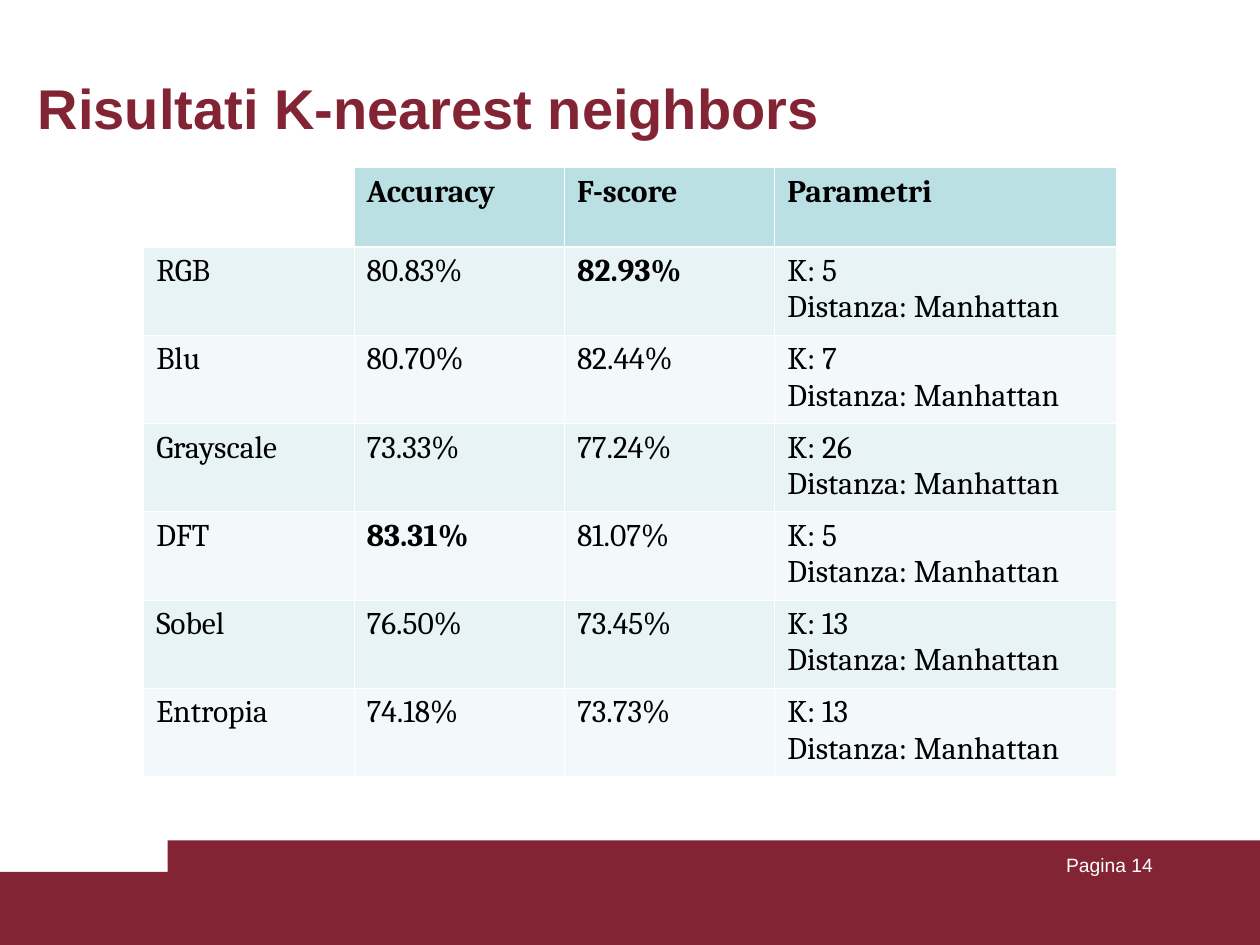
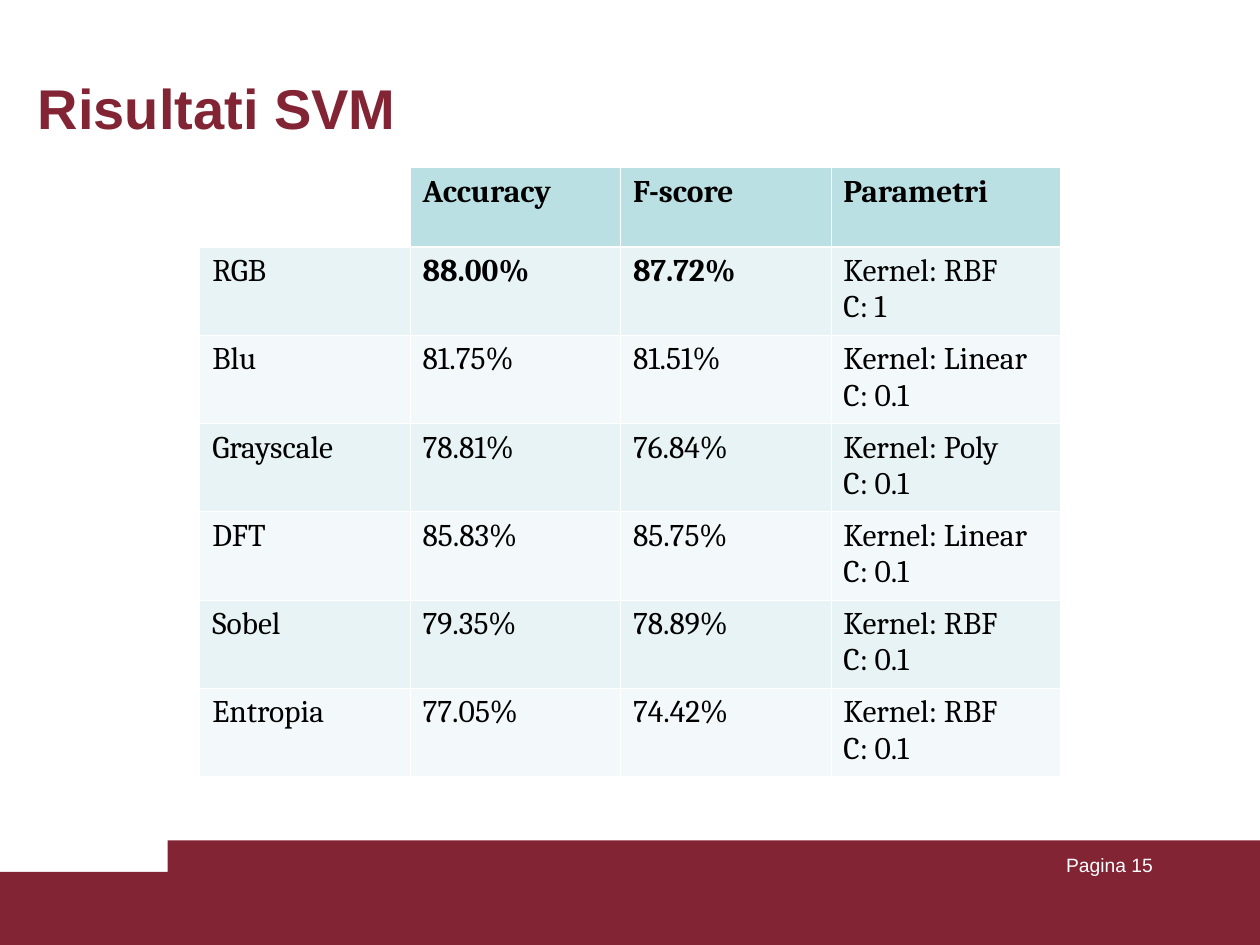
from lxml.etree import SubElement
from pptx import Presentation
from pptx.dml.color import RGBColor
from pptx.enum.shapes import MSO_SHAPE
from pptx.enum.text import MSO_ANCHOR, PP_ALIGN
from pptx.oxml.ns import qn
from pptx.util import Inches, Pt

HEADERS = ["", "Accuracy", "F-score", "Parametri"]
FEATURES = ["RGB", "Blu", "Grayscale", "DFT", "Sobel", "Entropia"]
FIRST_PAGE = 14

RESULTS = [
    {
        "title": "Risultati K-nearest neighbors",
        "parameter_width": 2.71,
        "accuracy": [80.83, 80.70, 73.33, 83.31, 76.50, 74.18],
        "f_score": [82.93, 82.44, 77.24, 81.07, 73.45, 73.73],
        "parameters": [f"K: {k}\nDistanza: Manhattan" for k in (5, 7, 26, 5, 13, 13)],
    },
    {
        "title": "Risultati SVM",
        "parameter_width": 1.82,
        "accuracy": [88.00, 81.75, 78.81, 85.83, 79.35, 77.05],
        "f_score": [87.72, 81.51, 76.84, 85.75, 78.89, 74.42],
        "parameters": [
            f"Kernel: {kernel}\nC: {c}"
            for kernel, c in [("RBF", 1), ("Linear", 0.1), ("Poly", 0.1),
                              ("Linear", 0.1), ("RBF", 0.1), ("RBF", 0.1)]
        ],
    },
]

COLORS = {
    "brand": "822433",
    "white": "FFFFFF",
    "text": "000000",
    "header": "BBE0E3",
    "odd_row": "E7F3F4",
    "even_row": "F3F9FA",
}
SLIDE_WIDTH, SLIDE_HEIGHT = 10, 7.5
FOOTER_BANDS = [(0, 6.92), (1.33, 6.67)]  # left, top; each runs to the corner
TABLE_TOP = 1.33
COLUMN_WIDTH = 1.67
HEADER_HEIGHT, ROW_HEIGHT = 0.63, 0.7
THIN, THICK = 0.45, 1.47


def color(name):
    return RGBColor.from_string(COLORS[name])


def format_text(text_frame, font_name, size, color_name, bold=False, align=PP_ALIGN.LEFT):
    for paragraph in text_frame.paragraphs:
        paragraph.alignment = align
        paragraph.font.name = font_name
        paragraph.font.size = Pt(size)
        paragraph.font.bold = bold
        paragraph.font.color.rgb = color(color_name)


def add_title(slide, text):
    title = slide.shapes.title
    title.left, title.top = Inches(0.2), Inches(0.48)
    title.width, title.height = Inches(8.27), Inches(0.55)
    text_frame = title.text_frame
    text_frame.text = text
    text_frame.vertical_anchor = MSO_ANCHOR.TOP
    text_frame.margin_top, text_frame.margin_bottom = Inches(0.1), 0
    format_text(text_frame, "Arial", 32, "brand", bold=True)


def add_footer(slide, page):
    for left, top in FOOTER_BANDS:
        band = slide.shapes.add_shape(
            MSO_SHAPE.RECTANGLE, Inches(left), Inches(top),
            Inches(SLIDE_WIDTH - left), Inches(SLIDE_HEIGHT - top))
        band.shadow.inherit = False
        band.fill.solid()
        band.fill.fore_color.rgb = color("brand")
        band.line.fill.background()
    label = slide.shapes.add_textbox(Inches(7.17), Inches(6.72), Inches(2.08), Inches(0.5))
    label.text_frame.word_wrap = True
    label.text_frame.text = f"Pagina {page}"
    format_text(label.text_frame, "Arial", 11, "white", align=PP_ALIGN.RIGHT)


def set_borders(cell, top, bottom):
    """Draw white borders; top and bottom are widths in points."""
    properties = cell._tc.get_or_add_tcPr()
    for side, width in [("L", THIN), ("R", THIN), ("T", top), ("B", bottom)]:
        line = SubElement(properties, qn(f"a:ln{side}"), w=str(int(Pt(width))))
        fill = SubElement(line, qn("a:solidFill"))
        SubElement(fill, qn("a:srgbClr"), val=COLORS["white"])


def cell_fill(row, column):
    if row == 0:
        return "header" if column else "white"
    return "odd_row" if row % 2 else "even_row"


def table_rows(result):
    """Return rows of (text, bold) pairs, with the best score of each column bold."""
    rows = [[(header, True) for header in HEADERS]]
    scores = zip(FEATURES, result["accuracy"], result["f_score"], result["parameters"])
    for feature, accuracy, f_score, parameters in scores:
        rows.append([
            (feature, False),
            (f"{accuracy:.2f}%", accuracy == max(result["accuracy"])),
            (f"{f_score:.2f}%", f_score == max(result["f_score"])),
            (parameters, False),
        ])
    return rows


def add_results_table(slide, result):
    rows = table_rows(result)
    widths = [COLUMN_WIDTH] * 3 + [result["parameter_width"]]
    heights = [HEADER_HEIGHT] + [ROW_HEIGHT] * len(FEATURES)
    table = slide.shapes.add_table(
        len(rows), len(widths), Inches((SLIDE_WIDTH - sum(widths)) / 2), Inches(TABLE_TOP),
        Inches(sum(widths)), Inches(sum(heights))).table
    table.first_row = table.horz_banding = False
    for column, width in zip(table.columns, widths):
        column.width = Inches(width)
    for row, height in zip(table.rows, heights):
        row.height = Inches(height)
    for row_index, row in enumerate(rows):
        for column_index, (text, bold) in enumerate(row):
            cell = table.cell(row_index, column_index)
            cell.text_frame.text = text
            format_text(cell.text_frame, "Cambria", 18, "text", bold)
            set_borders(cell, top=THICK if row_index == 1 else THIN,
                        bottom=THICK if row_index == 0 else THIN)
            cell.fill.solid()
            cell.fill.fore_color.rgb = color(cell_fill(row_index, column_index))


def main():
    presentation = Presentation()
    presentation.slide_width = Inches(SLIDE_WIDTH)
    presentation.slide_height = Inches(SLIDE_HEIGHT)
    title_only = presentation.slide_layouts.get_by_name("Title Only")
    for page, result in enumerate(RESULTS, start=FIRST_PAGE):
        slide = presentation.slides.add_slide(title_only)
        add_footer(slide, page)
        add_title(slide, result["title"])
        add_results_table(slide, result)
    presentation.save("out.pptx")


if __name__ == "__main__":
    main()
